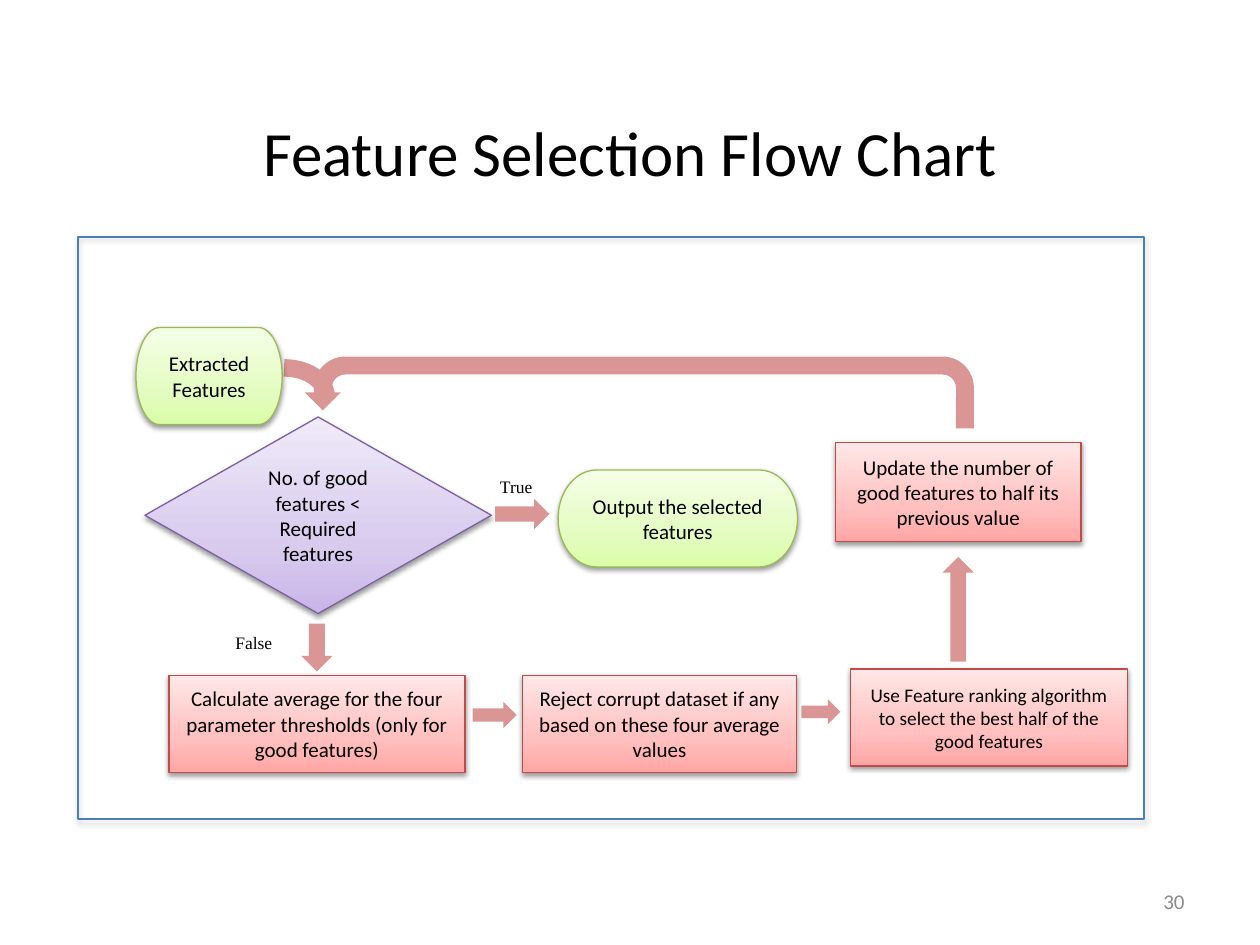
from copy import deepcopy

from lxml import etree
from pptx import Presentation
from pptx.dml.color import RGBColor
from pptx.enum.shapes import MSO_SHAPE as Shape
from pptx.enum.text import MSO_ANCHOR as Anchor, PP_ALIGN as Align
from pptx.oxml.ns import qn
from pptx.util import Inches, Pt

COLORS = {
    "text": "000000", "number": "8C8C8C", "white": "FFFFFF",
    "frame": "4B7EBC", "arrow": "D99694", "shadow": "000000",
}
# Outline colour, then gradient colours from bottom to top
STYLES = {
    "decision": ("7D60A0", ("C9B5E8", "D8CBEE", "F0EAF9")),
    "process": ("BF4C48", ("FFA6A5", "FFC0BF", "FFE7E7")),
    "terminal": ("98B955", ("DAFDA7", "E4FCC2", "F5FFE7")),
}
STOPS = (0, 0.35, 1)


def rgb(name):
    return RGBColor.from_string(COLORS.get(name, name))


def write(box, text, size, color="text", font="Calibri", align=Align.CENTER,
          anchor=Anchor.MIDDLE, wrap=True):
    frame = box.text_frame
    frame.word_wrap = wrap
    frame.vertical_anchor = anchor
    para = frame.paragraphs[0]
    para.alignment = align
    span = para.add_run()
    span.text = text
    span.font.size = Pt(size)
    span.font.name = font
    span.font.color.rgb = rgb(color)


def add_label(page, text, area, size=10, **format):
    box = page.shapes.add_textbox(*map(Inches, area))
    write(box, text, size, **format)


def add_plain(page, kind, area):
    shape = page.shapes.add_shape(kind, *map(Inches, area))
    shape.shadow.inherit = False
    return shape


def set_outline(shape, color, width=0.75):
    shape.line.color.rgb = rgb(color)
    shape.line.width = Pt(width)


def cast_shadow(shape, opacity=38, distance=1.6):
    effects = shape.element.spPr.find(qn("a:effectLst"))
    shadow = etree.SubElement(
        effects, qn("a:outerShdw"), blurRad=str(Pt(3.1)),
        dist=str(Pt(distance)), dir="5400000", rotWithShape="0")
    color = etree.SubElement(shadow, qn("a:srgbClr"), val=COLORS["shadow"])
    etree.SubElement(color, qn("a:alpha"), val=str(opacity * 1000))


def set_gradient(shape, colors):
    fill = shape.fill
    fill.gradient()
    fill.gradient_angle = 90
    stop_list = shape.element.spPr.find(qn("a:gradFill")).find(qn("a:gsLst"))
    stop_list.append(deepcopy(stop_list[-1]))
    for stop, position, color in zip(fill.gradient_stops, STOPS, colors):
        stop.position = position
        stop.color.rgb = rgb(color)


def add_step(page, kind, style, text, area, size=12):
    shape = add_plain(page, kind, area)
    outline, colors = STYLES[style]
    set_gradient(shape, colors)
    set_outline(shape, outline)
    cast_shadow(shape)
    write(shape, text, size)


def add_arrow(page, kind, area, rotation=0):
    arrow = add_plain(page, kind, area)
    arrow.fill.solid()
    arrow.fill.fore_color.rgb = rgb("arrow")
    arrow.line.fill.background()
    arrow.rotation = rotation
    return arrow


def add_frame(page):
    frame = add_plain(page, Shape.RECTANGLE, (0.62, 1.88, 8.46, 4.62))
    frame.fill.background()
    set_outline(frame, "frame")
    cast_shadow(frame, opacity=35, distance=1.8)


def add_entry_curve(page):
    curve = add_plain(page, Shape.ARC, (1.92, 2.92, 0.67, 0.46))
    curve.adjustments[0] = 162
    curve.adjustments[1] = 1.39
    curve.fill.solid()
    curve.fill.fore_color.rgb = rgb("white")
    set_outline(curve, "arrow", 10)


def main():
    deck = Presentation()
    deck.slide_width, deck.slide_height = Inches(10), Inches(7.5)
    page = deck.slides.add_slide(deck.slide_layouts[5])

    # Title
    title = page.shapes.title
    title.left, title.top = Inches(0.5), Inches(0.74)
    title.width, title.height = Inches(9), Inches(0.92)
    write(title, "Feature Selection Flow Chart", 36)

    # Frame and the paths into the decision
    add_frame(page)
    add_entry_curve(page)
    loop = add_arrow(page, Shape.U_TURN_ARROW, (2.42, 2.83, 5.31, 0.57))
    loop.element.spPr.find(qn("a:xfrm")).set("flipH", "1")

    # Steps
    add_step(page, Shape.FLOWCHART_DECISION, "decision",
             "No. of good features < Required features",
             (1.15, 3.31, 2.75, 1.56))
    for text, area, size in (
        ("Calculate average for the four parameter thresholds "
         "(only for good features)", (1.34, 5.36, 2.35, 0.77), 12),
        ("Reject corrupt dataset if any based on these four average values",
         (4.15, 5.36, 2.17, 0.77), 12),
        ("Use Feature ranking algorithm to select the best half of the "
         "good features", (6.75, 5.31, 2.2, 0.77), 11),
        ("Update the number of good features to half its previous value",
         (6.63, 3.51, 1.95, 0.79), 12),
    ):
        add_step(page, Shape.FLOWCHART_PROCESS, "process", text, area, size)
    for text, area in (
        ("Output the selected features", (4.43, 3.73, 1.9, 0.77)),
        ("Extracted Features", (1.08, 2.6, 1.16, 0.77)),
    ):
        add_step(page, Shape.FLOWCHART_TERMINATOR, "terminal", text, area)

    # Block arrows
    add_arrow(page, Shape.DOWN_ARROW, (2.39, 4.95, 0.25, 0.38))
    for area in ((3.93, 3.96, 0.43, 0.24), (3.75, 5.57, 0.35, 0.21),
                 (6.36, 5.55, 0.31, 0.2)):
        add_arrow(page, Shape.RIGHT_ARROW, area)
    add_arrow(page, Shape.RIGHT_ARROW, (7.19, 4.71, 0.83, 0.25), 270)

    # Branch labels and page number
    for text, area in (("True", (3.87, 3.73, 0.53, 0.27)),
                       ("False", (1.77, 4.97, 0.56, 0.27))):
        add_label(page, text, area, font="Times New Roman",
                  align=Align.LEFT, anchor=Anchor.TOP)
    add_label(page, "30", (7.17, 6.95, 2.33, 0.4), 12, color="number",
              align=Align.RIGHT)

    deck.save("out.pptx")


if __name__ == "__main__":
    main()
